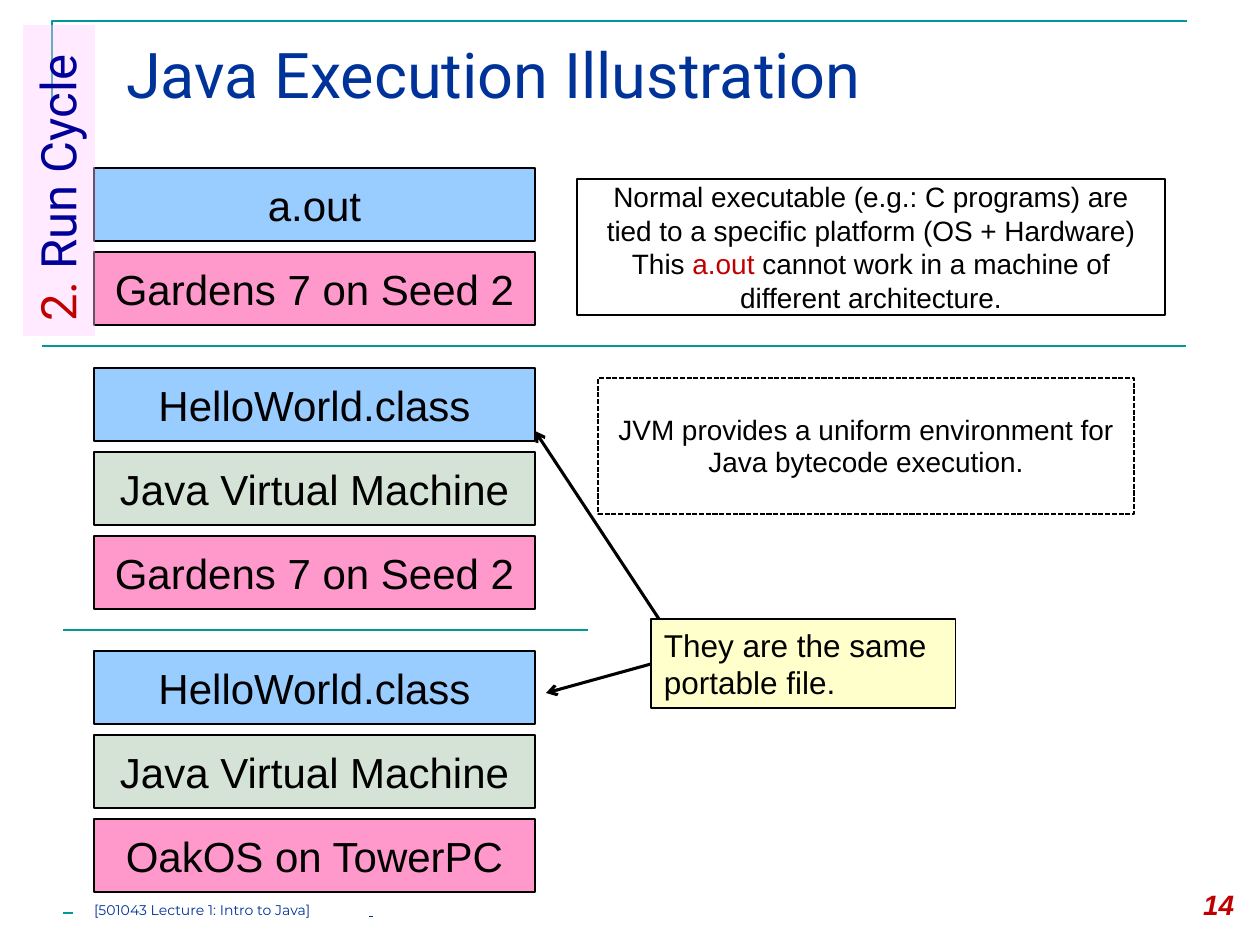
from dataclasses import dataclass
from typing import NamedTuple

from lxml.etree import SubElement
from pptx import Presentation
from pptx.dml.color import RGBColor
from pptx.enum.dml import MSO_LINE
from pptx.enum.shapes import MSO_CONNECTOR, MSO_SHAPE
from pptx.enum.text import MSO_ANCHOR, MSO_AUTO_SIZE, PP_ALIGN
from pptx.oxml.ns import qn
from pptx.shapes.autoshape import Shape
from pptx.shapes.connector import Connector
from pptx.slide import Slide
from pptx.text.text import TextFrame
from pptx.util import Emu, Inches, Pt


@dataclass(frozen=True)
class Theme:
    """Colours, fonts and type sizes of the slide."""

    title: str = "003399"
    section: str = "000099"
    accent: str = "C00000"
    rule: str = "009999"
    ink: str = "000000"
    program: str = "99CCFF"
    machine: str = "D5E2D6"
    platform: str = "FF99CC"
    callout: str = "FFFFCC"
    band: str = "FFCCFF"
    body_font: str = "Arial"
    head_font: str = "Roboto"
    foot_font: str = "Montserrat"
    title_size: int = 36
    section_size: int = 28
    layer_size: int = 24
    callout_size: int = 18
    note_size: int = 16
    foot_size: int = 8


THEME = Theme()


class Span(NamedTuple):
    """A stretch of text in one format."""

    text: str
    size: int
    color: str = THEME.ink
    font: str = THEME.body_font
    strong: bool = False
    underline: bool = False


class Box(NamedTuple):
    """A place on the slide in px."""

    left: int
    top: int
    width: int
    height: int


class Layer(NamedTuple):
    """One level of an execution stack."""

    label: str
    color: str


class Stack(NamedTuple):
    """Layers piled up from a top edge in px."""

    top: int
    layers: list[Layer]


class Stroke(NamedTuple):
    """A straight line between two points in px."""

    start: tuple[int, int]
    end: tuple[int, int]
    color: str
    weight: float
    arrow: bool = False


JVM = Layer("Java Virtual Machine", THEME.machine)
HELLO = Layer("HelloWorld.class", THEME.program)
DESKTOP = Layer("Gardens 7 on Seed 2", THEME.platform)
STACKS = [
    Stack(168, [Layer("a.out", THEME.program), DESKTOP]),
    Stack(368, [HELLO, JVM, DESKTOP]),
    Stack(651, [HELLO, JVM, Layer("OakOS on TowerPC", THEME.platform)]),
]
RULES = [
    Stroke((63, 913), (73, 913), THEME.rule, 1.56),
    Stroke((42, 346), (1186, 346), THEME.rule, 0.72),
    Stroke((63, 630), (588, 630), THEME.rule, 0.72),
]
ARROWS = [
    Stroke((659, 619), (535, 431), THEME.ink, 1.75, True),
    Stroke((651, 664), (546, 693), THEME.ink, 1.75, True),
]
LAYER_LEFT, LAYER_WIDTH, LAYER_HEIGHT, LAYER_PITCH = 94, 441, 73, 84


def px(length: int) -> Emu:
    """Turn px into EMU."""
    return Emu(round(length * Inches(1) / 126))


def write(frame: TextFrame, spans: list[Span], align: PP_ALIGN = PP_ALIGN.LEFT,
          anchor: MSO_ANCHOR = MSO_ANCHOR.TOP, inset: int = 0,
          leading: float | None = None) -> None:
    """Fill a frame with one paragraph of spans."""
    frame.word_wrap = True
    frame.auto_size = MSO_AUTO_SIZE.NONE
    frame.vertical_anchor = anchor
    frame.margin_left = frame.margin_right = px(inset)
    frame.margin_top = frame.margin_bottom = 0
    paragraph = frame.paragraphs[0]
    paragraph.alignment = align
    if leading:
        paragraph.line_spacing = Pt(leading)
    for span in spans:
        run = paragraph.add_run()
        run.text = span.text
        run.font.size = Pt(span.size)
        run.font.name = span.font
        run.font.bold = run.font.italic = span.strong
        run.font.underline = span.underline
        run.font.color.rgb = RGBColor.from_string(span.color)


def draw_panel(slide: Slide, box: Box, fill: str | None = None,
               weight: float = 0.72) -> Shape:
    """Draw an outlined rectangle, without outline at weight 0."""
    panel = slide.shapes.add_shape(MSO_SHAPE.RECTANGLE, *map(px, box))
    panel.shadow.inherit = False
    if fill:
        panel.fill.solid()
        panel.fill.fore_color.rgb = RGBColor.from_string(fill)
    else:
        panel.fill.background()
    if weight:
        panel.line.color.rgb = RGBColor.from_string(THEME.ink)
        panel.line.width = Pt(weight)
    else:
        panel.line.fill.background()
    return panel


def draw_stroke(slide: Slide, stroke: Stroke) -> Connector:
    """Draw a rule or an arrow."""
    line = slide.shapes.add_connector(
        MSO_CONNECTOR.STRAIGHT, *map(px, stroke.start + stroke.end))
    line.line.color.rgb = RGBColor.from_string(stroke.color)
    line.line.width = Pt(stroke.weight)
    properties = line._element.spPr
    if stroke.arrow:
        SubElement(properties.find(qn("a:ln")), qn("a:tailEnd"), type="arrow")
    SubElement(properties, qn("a:effectLst"))
    return line


def draw_stack(slide: Slide, stack: Stack) -> None:
    """Draw the layers of a stack at an equal pitch."""
    for level, layer in enumerate(stack.layers):
        top = stack.top + level * LAYER_PITCH
        panel = draw_panel(slide, Box(LAYER_LEFT, top, LAYER_WIDTH, LAYER_HEIGHT), layer.color)
        write(panel.text_frame, [Span(layer.label, THEME.layer_size)],
              PP_ALIGN.CENTER, MSO_ANCHOR.MIDDLE)


def draw_heading(slide: Slide) -> None:
    """Draw the corner line and the title."""
    builder = slide.shapes.build_freeform(52, 105, scale=float(px(1)))
    builder.add_line_segments([(52, 21), (1187, 21)], close=False)
    corner = builder.convert_to_shape()
    corner.shadow.inherit = False
    corner.fill.background()
    corner.line.color.rgb = RGBColor.from_string(THEME.rule)
    corner.line.width = Pt(1.56)
    title = slide.shapes.title
    title.left, title.top, title.width, title.height = map(px, Box(126, 35, 738, 79))
    write(title.text_frame, [Span("Java Execution Illustration", THEME.title_size,
                                  THEME.title, THEME.head_font)])


def draw_notes(slide: Slide) -> None:
    """Draw the two explanations and the callout."""
    size = THEME.note_size
    native = draw_panel(slide, Box(577, 179, 588, 136), weight=0.96)
    write(native.text_frame, [
        Span("Normal executable (e.g.: C programs) are tied to a specific platform "
             "(OS + Hardware) This ", size),
        Span("a.out ", size, THEME.accent),
        Span("cannot work in a machine of different architecture.", size),
    ], PP_ALIGN.CENTER, MSO_ANCHOR.MIDDLE, 25)
    uniform = draw_panel(slide, Box(598, 378, 536, 136), weight=0.96)
    uniform.line.dash_style = MSO_LINE.SQUARE_DOT
    write(uniform.text_frame,
          [Span("JVM provides a uniform environment for Java bytecode execution.", size)],
          PP_ALIGN.CENTER, MSO_ANCHOR.MIDDLE, 12, 18.1)
    callout = draw_panel(slide, Box(651, 619, 305, 89), THEME.callout)
    write(callout.text_frame, [Span("They are the same portable file.", THEME.callout_size)],
          anchor=MSO_ANCHOR.MIDDLE, inset=13)


def draw_section(slide: Slide) -> None:
    """Draw the upright section label on its translucent band."""
    band = draw_panel(slide, Box(23, 25, 72, 311), THEME.band, 0)
    color = band._element.spPr.find(qn("a:solidFill"))[0]
    SubElement(color, qn("a:alpha"), val="40000")
    label = slide.shapes.add_textbox(*map(px, Box(34, 45, 53, 277))).text_frame
    label._txBody.bodyPr.set("vert", "vert270")
    write(label, [
        Span("2. ", THEME.section_size, THEME.accent, THEME.head_font),
        Span("Run Cycle", THEME.section_size, THEME.section, THEME.head_font),
    ], leading=29.9)


def draw_footer(slide: Slide) -> None:
    """Draw the lecture name and page number on tab stops."""
    footer = slide.shapes.add_textbox(*map(px, Box(94, 888, 1150, 35))).text_frame
    size, color, font = THEME.foot_size, THEME.title, THEME.foot_font
    write(footer, [
        Span("[501043 Lecture 1: Intro to Java]\t", size, color, font),
        Span(" \t", size, color, font, underline=True),
        Span("14", THEME.note_size, THEME.accent, strong=True),
    ], leading=18.9)
    stops = SubElement(footer.paragraphs[0]._p.get_or_add_pPr(), qn("a:tabLst"))
    for position in (275, 1109):
        SubElement(stops, qn("a:tab"), pos=str(px(position)), algn="l")


def main() -> None:
    """Build and save the slide."""
    deck = Presentation()
    deck.slide_width, deck.slide_height = px(1260), px(945)
    slide = deck.slides.add_slide(deck.slide_layouts[5])
    draw_heading(slide)
    for stack in STACKS:
        draw_stack(slide, stack)
    for stroke in RULES + ARROWS:
        draw_stroke(slide, stroke)
    draw_notes(slide)
    draw_section(slide)
    draw_footer(slide)
    deck.save("out.pptx")


if __name__ == "__main__":
    main()
